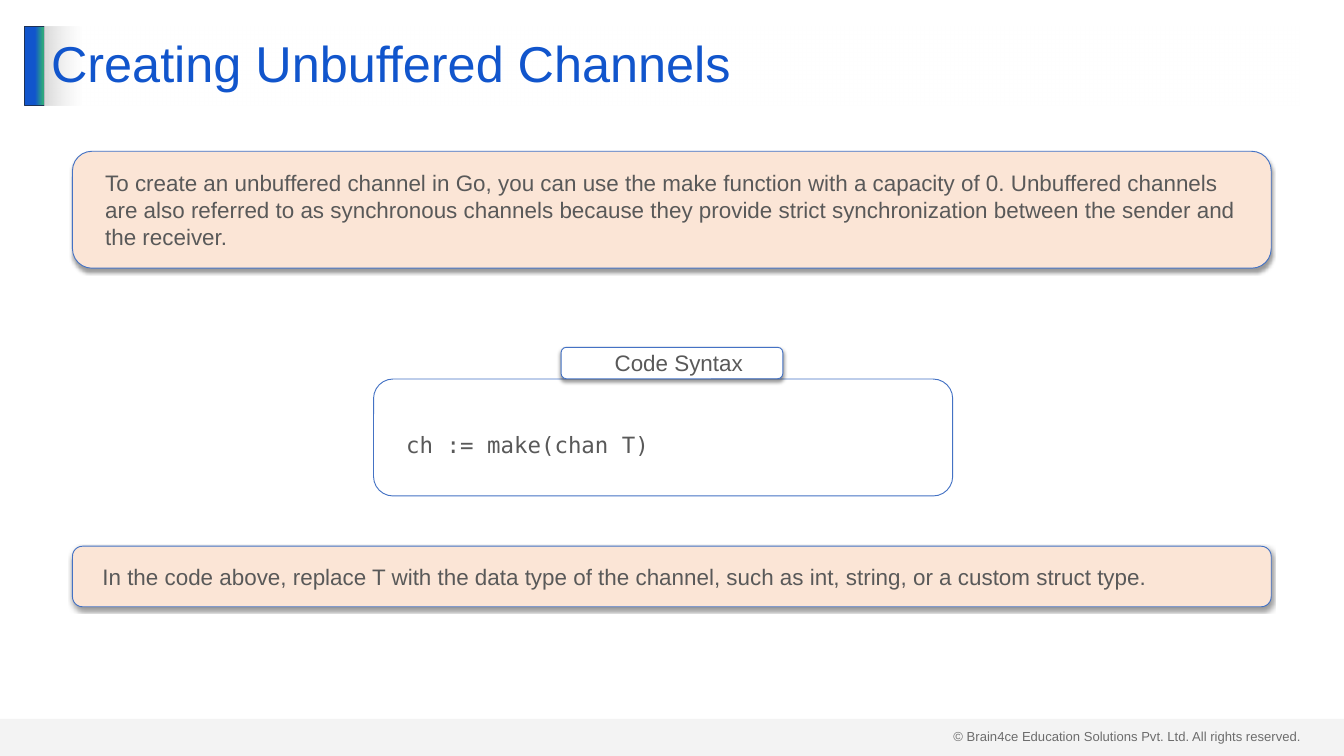
import lxml.etree
import pptx
import pptx.dml.color
import pptx.enum.shapes
import pptx.enum.text
import pptx.oxml.ns
import pptx.util

Cm, Pt = pptx.util.Cm, pptx.util.Pt
qn = pptx.oxml.ns.qn
RGB = pptx.dml.color.RGBColor.from_string
SHAPE = pptx.enum.shapes.MSO_SHAPE
ALIGN = pptx.enum.text.PP_ALIGN
MIDDLE = pptx.enum.text.MSO_ANCHOR.MIDDLE

THEME = {
    "blue": "1155CC", "green": "2EA87D", "navy": "1E3256", "grey": "D9D9D9",
    "white": "FFFFFF", "peach": "FBE5D6", "outline": "4472C4",
    "body": "595959", "footer": "404040", "shadow": "000000",
    "font": "Arial", "code_font": "DejaVu Sans Mono",
    "title_size": 54, "body_size": 24, "footer_size": 14,
}


def add_color(parent, color, opacity=100):
    clr = lxml.etree.SubElement(parent, qn("a:srgbClr"), val=color)
    if opacity < 100:
        lxml.etree.SubElement(clr, qn("a:alpha"), val=str(opacity * 1000))


def write(shape, text, size, color, font=THEME["font"]):
    shape.text_frame.word_wrap = True
    paragraph = shape.text_frame.paragraphs[0]
    paragraph.text = text
    paragraph.alignment = ALIGN.LEFT
    paragraph.font.size = Pt(size)
    paragraph.font.name = font
    paragraph.font.color.rgb = RGB(color)
    return paragraph


deck = pptx.Presentation()
deck.slide_width, deck.slide_height = Cm(50.8), Cm(28.58)
slide = deck.slides.add_slide(deck.slide_layouts[6])
shapes = slide.shapes

# Copyright line, under the translucent footer band
copyright_line = shapes.add_textbox(Cm(35.79), Cm(27.43), Cm(13.74), Cm(0.86))
write(copyright_line, "© Brain4ce Education Solutions Pvt. Ltd. All rights reserved.",
      THEME["footer_size"], THEME["footer"])

# Accent bar, footer band and title
accent = shapes.add_shape(SHAPE.RECTANGLE, Cm(0.94), Cm(0.99), Cm(0.76), Cm(3))
accent.line.color.rgb = RGB(THEME["navy"])
accent.line.width = Pt(1)

footer_band = shapes.add_shape(SHAPE.RECTANGLE, 0, Cm(27.18), Cm(50.8), Cm(1.4))
footer_band.fill.solid()
footer_band.fill.fore_color.rgb = RGB(THEME["grey"])
band_color = footer_band._element.spPr.find(".//" + qn("a:srgbClr"))
lxml.etree.SubElement(band_color, qn("a:alpha"), val="29000")
footer_band.line.fill.background()

title = shapes.add_shape(SHAPE.RECTANGLE, Cm(1.68), Cm(0.99), Cm(47.42), Cm(3))
title.line.fill.background()
title.text_frame.vertical_anchor = MIDDLE
write(title, "Creating Unbuffered Channels",
      THEME["title_size"], THEME["blue"]).line_spacing = 0.9

for part in (accent, footer_band, title):
    part.shadow.inherit = False

# Gradients: position in percent, colour, opacity
gradients = [
    (accent, [(51, THEME["blue"], 100), (90, THEME["green"], 100),
              (100, THEME["green"], 100)]),
    (title, [(0, THEME["grey"], 100), (3, THEME["white"], 50)]),
]
for part, stops in gradients:
    part.fill.gradient()
    part.fill.gradient_angle = 0
    stop_list = part._element.spPr.find(".//" + qn("a:gsLst"))
    for old_stop in list(stop_list):
        stop_list.remove(old_stop)
    for position, color, opacity in stops:
        stop = lxml.etree.SubElement(stop_list, qn("a:gs"), pos=str(position * 1000))
        add_color(stop, color, opacity)

# Rounded panels: left, top, width, height, fill, alignment, font, line spacing, text
LEFT, WIDTH = 2.74, 45.31
panels = [
    (LEFT, 5.72, WIDTH, 4.42, THEME["peach"], ALIGN.LEFT, THEME["font"], 1.0,
     "To create an unbuffered channel in Go, you can use the make function with a "
     "capacity of 0. Unbuffered channels are also referred to as synchronous channels "
     "because they provide strict synchronization between the sender and the receiver."),
    (14.12, 14.33, 21.89, 4.42, None, ALIGN.LEFT, THEME["code_font"], 1.5,
     "ch := make(chan T)"),
    (21.21, 13.13, 8.38, 1.19, THEME["white"], ALIGN.CENTER, THEME["font"], 1.0,
     "Code Syntax"),
    (LEFT, 20.65, WIDTH, 2.29, THEME["peach"], ALIGN.LEFT, THEME["font"], 1.0,
     "In the code above, replace T with the data type of the channel, such as int, "
     "string, or a custom struct type."),
]
for left, top, width, height, fill, alignment, font, spacing, text in panels:
    panel = shapes.add_shape(SHAPE.ROUNDED_RECTANGLE,
                             Cm(left), Cm(top), Cm(width), Cm(height))
    panel.line.color.rgb = RGB(THEME["outline"])
    panel.line.width = Pt(1)
    panel.shadow.inherit = False
    if fill:
        panel.fill.solid()
        panel.fill.fore_color.rgb = RGB(fill)
        effects = panel._element.spPr.find(qn("a:effectLst"))
        drop = lxml.etree.SubElement(
            effects, qn("a:outerShdw"), blurRad=str(Pt(4)), dist=str(Pt(3)),
            dir="5400000", algn="t", rotWithShape="0")
        add_color(drop, THEME["shadow"], 40)
    else:
        panel.fill.background()

    frame = panel.text_frame
    frame.vertical_anchor = MIDDLE
    frame.margin_left = frame.margin_right = Cm(0.51)
    frame.margin_top = frame.margin_bottom = Cm(0.25)
    paragraph = write(panel, text, THEME["body_size"], THEME["body"], font)
    paragraph.alignment = alignment
    paragraph.line_spacing = spacing
    indent = paragraph._p.get_or_add_pPr()
    indent.set("marL", str(Cm(0.51)))
    indent.set("indent", "0")

deck.save("out.pptx")
